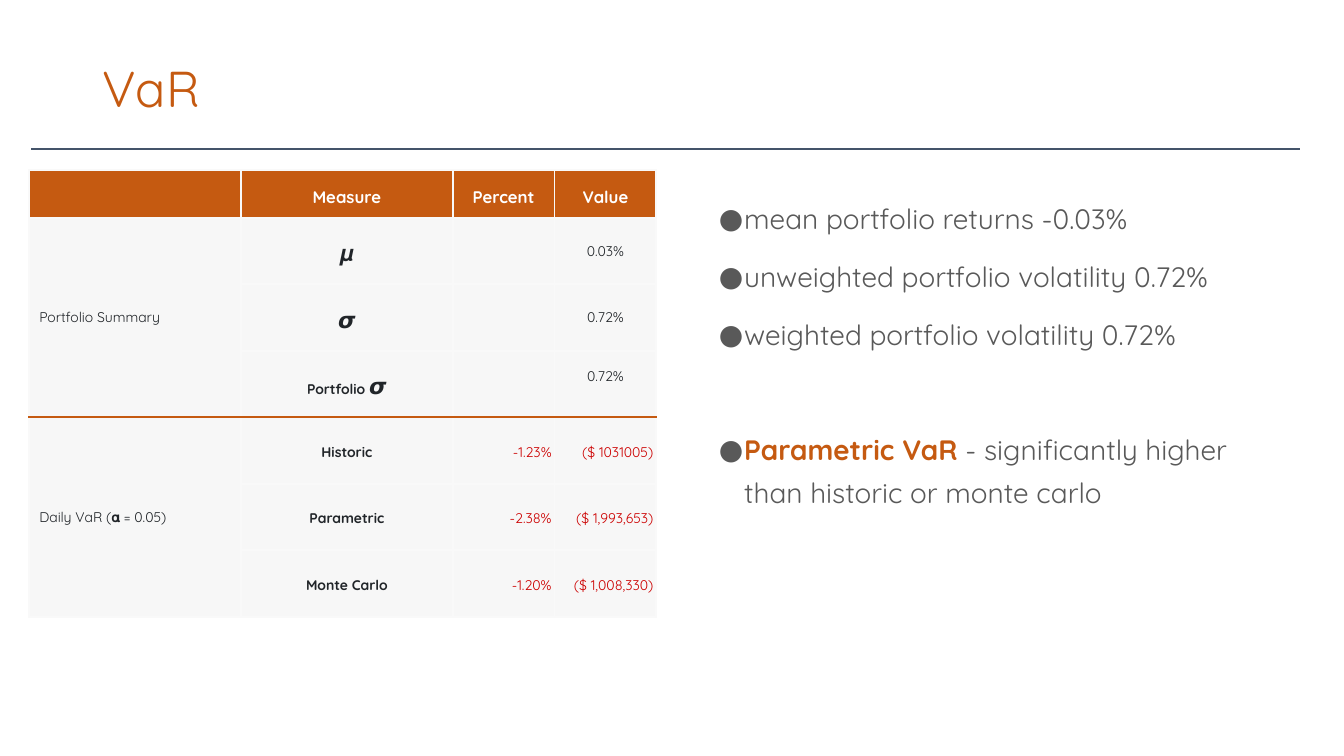
from dataclasses import dataclass

from lxml import etree
from pptx import Presentation
from pptx.dml.color import RGBColor
from pptx.enum.shapes import MSO_CONNECTOR
from pptx.enum.text import MSO_ANCHOR, MSO_AUTO_SIZE, PP_ALIGN
from pptx.oxml.ns import qn
from pptx.util import Inches, Pt

LEFT, CENTER, RIGHT = PP_ALIGN.LEFT, PP_ALIGN.CENTER, PP_ALIGN.RIGHT
TOP, MIDDLE = MSO_ANCHOR.TOP, MSO_ANCHOR.MIDDLE
STRAIGHT = MSO_CONNECTOR.STRAIGHT
NO_AUTOFIT = MSO_AUTO_SIZE.NONE


@dataclass(frozen=True)
class Theme:
    font: str = "Quicksand"
    accent: str = "C55A11"
    rule: str = "44546A"
    body: str = "595959"
    ink: str = "212529"
    loss: str = "CC0000"
    white: str = "FFFFFF"
    cell: str = "F7F7F7"
    grid: str = "F9F9F9"
    title_size: int = 36
    body_size: int = 20
    symbol_size: int = 16
    header_size: int = 12
    cell_size: int = 10


THEME = Theme()

COLUMNS = (2.1, 2.1, 1.01, 1.01)
HEADER_HEIGHT, ROW_HEIGHT = 0.46, 0.66
HEADERS = ("", "Measure", "Percent", "Value")
# Each row: measure label, measure symbol, percent, value
GROUPS = (
    ("Portfolio Summary", (
        ("", "𝝁", "", "0.03%"),
        ("", "𝞼", "", "0.72%"),
        ("Portfolio ", "𝞼", "", "0.72%"),
    )),
    ("Daily VaR (𝛂 = 0.05)", (
        ("Historic", "", "-1.23%", "($ 1031005)"),
        ("Parametric", "", "-2.38%", "($ 1,993,653)"),
        ("Monte Carlo", "", "-1.20%", "($ 1,008,330)"),
    )),
)
# Each finding: emphasised lead, remaining text, space before in points
FINDINGS = (
    ("", "mean portfolio returns -0.03%", 0),
    ("", "unweighted portfolio volatility 0.72%", 10),
    ("", "weighted portfolio volatility 0.72%", 10),
    ("Parametric VaR", " - significantly higher than historic or monte carlo", 51),
)


def style_font(font, size, color, bold=False):
    font.name = THEME.font
    font.size = Pt(size)
    font.bold = bold
    font.color.rgb = RGBColor.from_string(color)


def add_run(paragraph, text, size, color, bold=False):
    if text:
        run = paragraph.add_run()
        run.text = text
        style_font(run.font, size, color, bold)


def place(shape, left, top, width, height):
    shape.left, shape.top = Inches(left), Inches(top)
    shape.width, shape.height = Inches(width), Inches(height)


def add_title(slide, left, top, width, height):
    title = slide.shapes.title
    place(title, left, top, width, height)
    frame = title.text_frame
    frame.text = "VaR"
    frame.auto_size = NO_AUTOFIT
    frame.vertical_anchor = MIDDLE
    heading = frame.paragraphs[0]
    heading.alignment = LEFT
    heading.line_spacing = 0.9
    style_font(heading.runs[0].font, THEME.title_size, THEME.accent)


def add_rule(slide, left, top, width):
    rule = slide.shapes.add_connector(
        STRAIGHT, Inches(left), Inches(top), Inches(left + width), Inches(top))
    rule.line.color.rgb = RGBColor.from_string(THEME.rule)
    rule.line.width = Pt(1)
    etree.SubElement(rule.element.spPr, qn("a:effectLst"))


def add_bullet(paragraph):
    properties = paragraph._p.get_or_add_pPr()
    properties.set("marL", str(Inches(0.25)))
    properties.set("indent", str(-Inches(0.25)))
    color = etree.SubElement(properties, qn("a:buClr"))
    etree.SubElement(color, qn("a:srgbClr"), val=THEME.body)
    etree.SubElement(properties, qn("a:buFont"), typeface=THEME.font)
    etree.SubElement(properties, qn("a:buChar"), char="●")


def add_findings(slide, left, top, width, height):
    findings = slide.placeholders[1]
    place(findings, left, top, width, height)
    frame = findings.text_frame
    frame.auto_size = NO_AUTOFIT
    frame.vertical_anchor = TOP
    for index, (lead, text, gap) in enumerate(FINDINGS):
        paragraph = frame.add_paragraph() if index else frame.paragraphs[0]
        paragraph.alignment = LEFT
        paragraph.line_spacing = 1.3
        paragraph.space_before = Pt(gap)
        add_bullet(paragraph)
        add_run(paragraph, lead, THEME.body_size, THEME.accent, True)
        add_run(paragraph, text, THEME.body_size, THEME.body)


def draw_borders(cell, top, bottom):
    properties = cell._tc.get_or_add_tcPr()
    sides = {"L": THEME.grid, "R": THEME.grid, "T": top, "B": bottom}
    for side, color in sides.items():
        line = etree.SubElement(properties, qn(f"a:ln{side}"), w=str(Pt(1.5)))
        fill = etree.SubElement(line, qn("a:solidFill"))
        etree.SubElement(fill, qn("a:srgbClr"), val=color)


def format_cell(cell, fill, top=THEME.grid, bottom=THEME.grid):
    draw_borders(cell, top, bottom)
    cell.fill.solid()
    cell.fill.fore_color.rgb = RGBColor.from_string(fill)


def cell_paragraph(cell, alignment, spacing, side, edge, anchor=MIDDLE):
    """Set insets and anchor of a cell and return its formatted paragraph."""
    cell.margin_left = cell.margin_right = Inches(side)
    cell.margin_top = cell.margin_bottom = Inches(edge)
    cell.vertical_anchor = anchor
    paragraph = cell.text_frame.paragraphs[0]
    paragraph.alignment = alignment
    paragraph.line_spacing = spacing
    return paragraph


def fill_group(table, first, group, measures):
    """Fill one merged group with its measures, starting at row `first`."""
    last = first + len(measures) - 1
    top = THEME.accent if first > 1 else THEME.grid
    bottom = THEME.accent if last < len(table.rows) - 1 else THEME.grid
    for row, (label, symbol, percent, value) in enumerate(measures, first):
        for column in range(len(COLUMNS)):
            format_cell(table.cell(row, column), THEME.cell,
                        top if row == first else THEME.grid,
                        bottom if row == last else THEME.grid)
        measure = cell_paragraph(table.cell(row, 1), CENTER, 1.15, 0.03, 0.01)
        add_run(measure, label, THEME.cell_size, THEME.ink, True)
        add_run(measure, symbol, THEME.symbol_size, THEME.ink)
        alignment, spacing, color = (
            (RIGHT, 1.15, THEME.loss) if percent else (CENTER, 1.0, THEME.ink))
        for column, figure in ((2, percent), (3, value)):
            paragraph = cell_paragraph(
                table.cell(row, column), alignment, spacing, 0.03, 0.01)
            add_run(paragraph, figure, THEME.cell_size, color)
        if label and symbol:
            table.cell(row, 3).margin_bottom = Inches(0.16)
    group_cell = table.cell(first, 0)
    group_cell.merge(table.cell(last, 0))
    draw_bottom = group_cell._tc.tcPr.find(qn("a:lnB"))
    draw_bottom.find(".//" + qn("a:srgbClr")).set("val", bottom)
    name = cell_paragraph(group_cell, LEFT, 1.0, 0.1, 0.01)
    add_run(name, group, THEME.cell_size, THEME.ink)


def add_var_table(slide, left, top):
    row_count = sum(len(measures) for _, measures in GROUPS)
    table = slide.shapes.add_table(
        row_count + 1, len(COLUMNS), Inches(left), Inches(top),
        Inches(sum(COLUMNS)),
        Inches(HEADER_HEIGHT + row_count * ROW_HEIGHT)).table
    table.horz_banding = False
    for column, width in zip(table.columns, COLUMNS):
        column.width = Inches(width)
    for index, row in enumerate(table.rows):
        row.height = Inches(ROW_HEIGHT if index else HEADER_HEIGHT)
    for column, header in enumerate(HEADERS):
        cell = table.cell(0, column)
        format_cell(cell, THEME.accent)
        paragraph = cell_paragraph(cell, CENTER, 1.3, 0.03, 0.1, TOP)
        paragraph.font.size = Pt(THEME.header_size)
        add_run(paragraph, header, THEME.header_size, THEME.white, True)
    first = 1
    for group, measures in GROUPS:
        fill_group(table, first, group, measures)
        first += len(measures)


def main():
    presentation = Presentation()
    presentation.slide_width, presentation.slide_height = Inches(13.33), Inches(7.5)
    slide = presentation.slides.add_slide(presentation.slide_layouts[1])
    add_rule(slide, 0.31, 1.48, 12.58)
    add_title(slide, 0.92, 0.4, 11.5, 1.01)
    add_findings(slide, 7.03, 1.85, 5.79, 4.92)
    add_var_table(slide, 0.29, 1.69)
    presentation.save("out.pptx")


if __name__ == "__main__":
    main()
